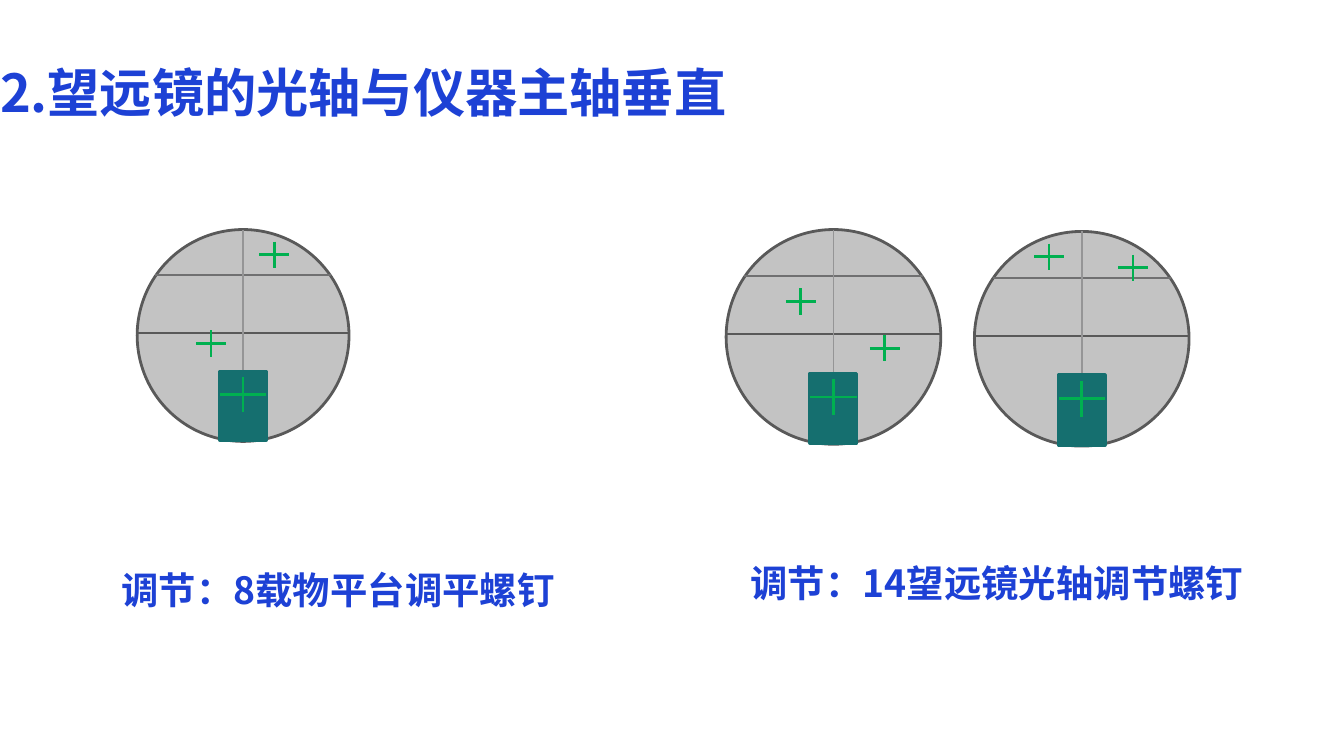
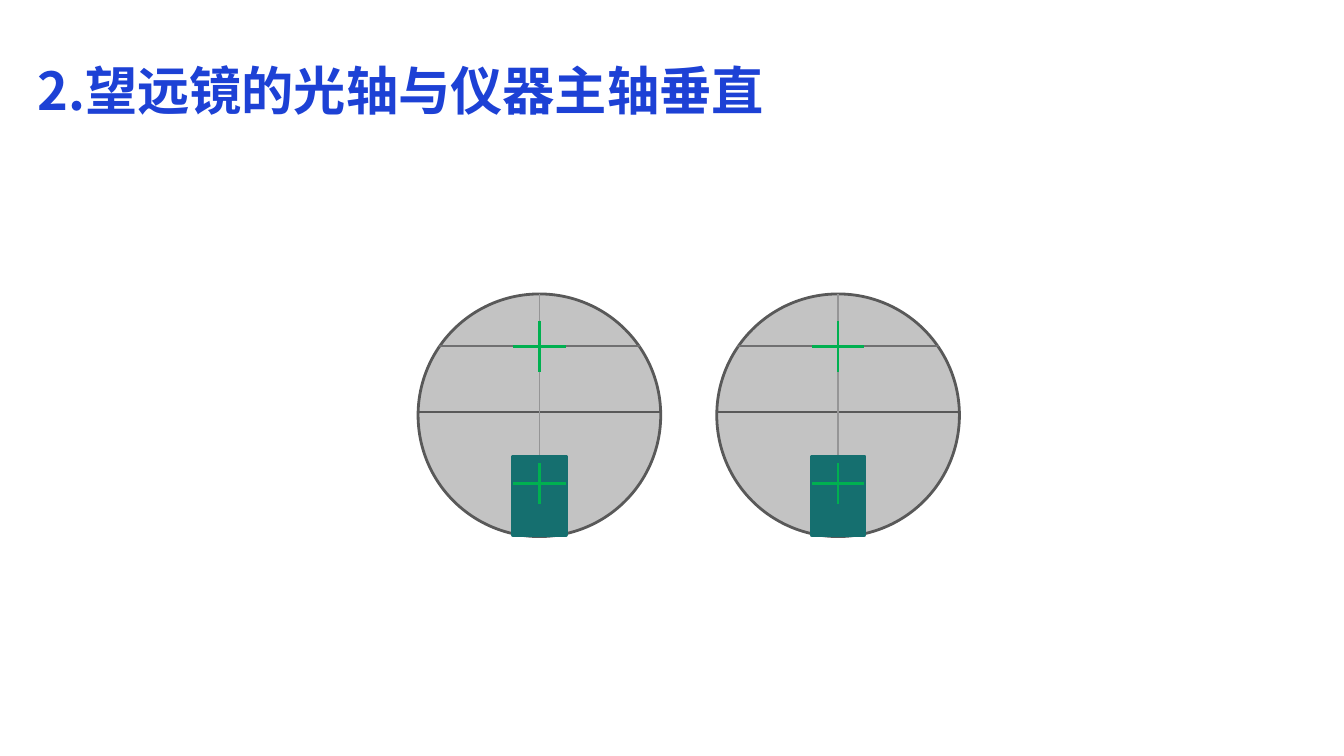
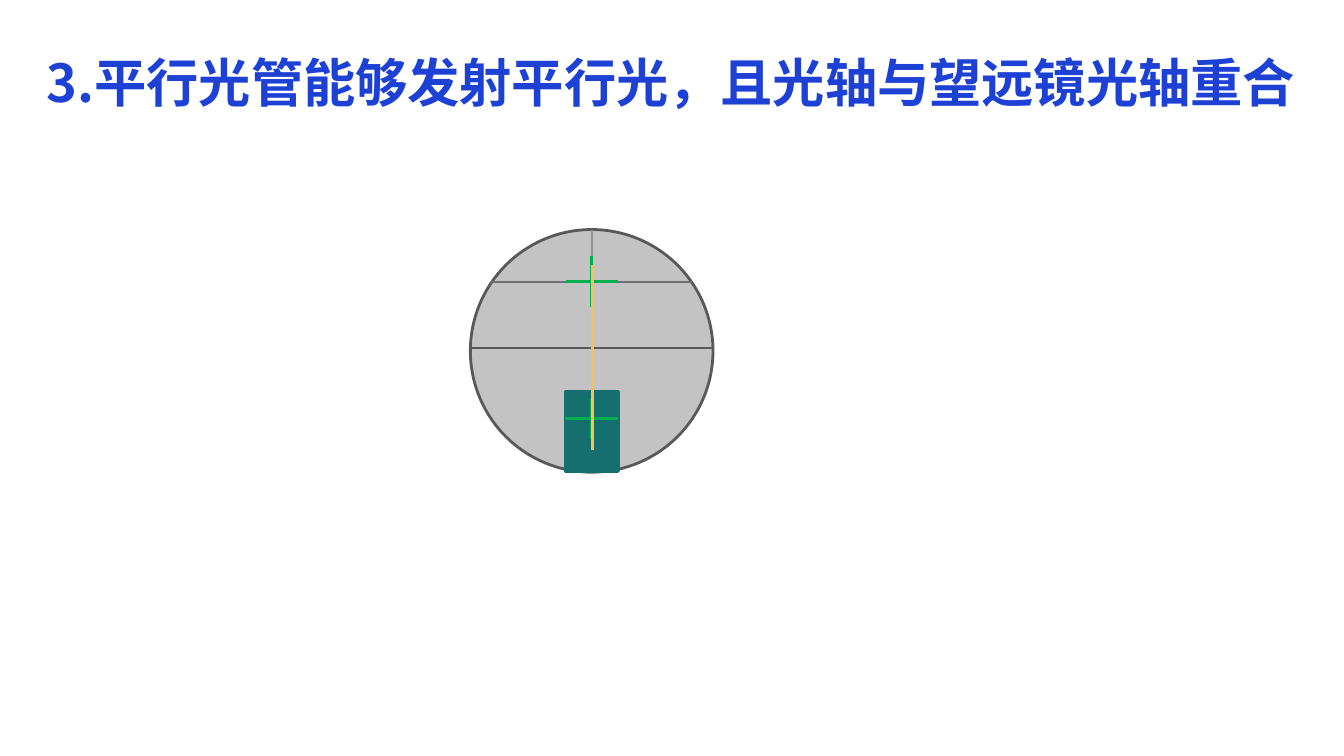
from lxml.etree import SubElement
from pptx import Presentation
from pptx.dml.color import RGBColor
from pptx.enum.shapes import MSO_CONNECTOR, MSO_SHAPE
from pptx.enum.text import MSO_ANCHOR, MSO_AUTO_SIZE, PP_ALIGN
from pptx.oxml.ns import qn
from pptx.util import Pt

BLUE = RGBColor(0x1D, 0x41, 0xD5)
FIELD_GRAY = RGBColor(0xC3, 0xC3, 0xC3)
RIM_GRAY = RGBColor(0x59, 0x59, 0x59)
UPPER_GRAY = RGBColor(0x70, 0x70, 0x71)
VERTICAL_GRAY = RGBColor(0x95, 0x95, 0x96)
TEAL = RGBColor(0x15, 0x6F, 0x6F)
GREEN = RGBColor(0x00, 0xB0, 0x50)
YELLOW = RGBColor(0xFA, 0xC1, 0x4D)

FONT = "Noto Sans CJK SC"
FRAME_FORMAT = {
    "margin_left": 0, "margin_right": 0, "margin_top": 0, "margin_bottom": 0,
    "word_wrap": True, "auto_size": MSO_AUTO_SIZE.NONE,
}

UPPER_LINE = 0.215
MIDDLE_LINE = 0.487
UPPER_HALF = 0.415
WINDOW_TOP = 0.67
WINDOW_WIDTH = 0.216
WINDOW_HEIGHT = 0.325
WINDOW_CROSS = 0.78
WINDOW_CROSS_HEIGHT = 0.167
SMALL_CROSS = (16, 14)
LARGE_CROSS = (28, 27.4)


def apply_format(target, values):
    for attribute, value in values.items():
        setattr(target, attribute, value)


def write_text(holder, wording, size, anchor):
    frame = holder.text_frame
    apply_format(frame, {**FRAME_FORMAT, "vertical_anchor": anchor})
    paragraph = frame.paragraphs[0]
    paragraph.alignment = PP_ALIGN.LEFT
    run = paragraph.add_run()
    run.text = wording
    apply_format(run.font, {"name": FONT, "size": Pt(size), "bold": True})
    run.font.color.rgb = BLUE
    SubElement(run.font._element, qn("a:ea")).set("typeface", FONT)
    return paragraph


def add_titled_slide(deck, wording, left, top, width, height):
    slide = deck.slides.add_slide(deck.slide_layouts[5])
    title = slide.shapes.title
    apply_format(title, {"left": Pt(left), "top": Pt(top),
                         "width": Pt(width), "height": Pt(height)})
    write_text(title, wording, 28, MSO_ANCHOR.MIDDLE)
    return slide


def add_caption(slide, wording, left, top, width):
    caption = slide.shapes.add_textbox(Pt(left), Pt(top), Pt(width), Pt(48))
    paragraph = write_text(caption, wording, 20, MSO_ANCHOR.TOP)
    paragraph.line_spacing = Pt(24)


def add_line(shapes, start, end, color, weight):
    line = shapes.add_connector(MSO_CONNECTOR.STRAIGHT, *map(Pt, start + end))
    line.line.color.rgb = color
    line.line.width = Pt(weight)
    SubElement(line._element.spPr, qn("a:effectLst"))


def add_filled(shapes, preset, bounds, fill, rim, weight):
    area = shapes.add_shape(preset, *map(Pt, bounds))
    area.shadow.inherit = False
    area.fill.solid()
    area.fill.fore_color.rgb = fill
    area.line.color.rgb = rim
    area.line.width = Pt(weight)


def add_cross(shapes, x, y, size):
    half_width, half_height = size[0] / 2, size[1] / 2
    add_line(shapes, (x - half_width, y), (x + half_width, y), GREEN, 1.5)
    add_line(shapes, (x, y - half_height), (x, y + half_height), GREEN, 1.5)


def add_eyepiece(shapes, left, top, diameter):
    center = left + diameter / 2
    middle = top + MIDDLE_LINE * diameter
    upper = top + UPPER_LINE * diameter
    reach = UPPER_HALF * diameter
    window_width = WINDOW_WIDTH * diameter
    add_filled(shapes, MSO_SHAPE.OVAL, (left, top, diameter, diameter),
               FIELD_GRAY, RIM_GRAY, 1.5)
    add_line(shapes, (left, middle), (left + diameter, middle), RIM_GRAY, 1)
    add_line(shapes, (center - reach, upper), (center + reach, upper), UPPER_GRAY, 1)
    add_line(shapes, (center, top), (center, top + diameter), VERTICAL_GRAY, 1)
    add_filled(shapes, MSO_SHAPE.RECTANGLE,
               (center - window_width / 2, top + WINDOW_TOP * diameter,
                window_width, WINDOW_HEIGHT * diameter), TEAL, TEAL, 2)
    add_cross(shapes, center, top + WINDOW_CROSS * diameter,
              (window_width, WINDOW_CROSS_HEIGHT * diameter))


def add_misaligned_eyepiece(shapes, left, top, diameter, reflections):
    add_eyepiece(shapes, left, top, diameter)
    for x, y in reflections:
        add_cross(shapes, x, y, SMALL_CROSS)


def add_aligned_eyepiece(shapes, left, top, diameter=130):
    add_eyepiece(shapes, left, top, diameter)
    add_cross(shapes, left + diameter / 2, top + UPPER_LINE * diameter, LARGE_CROSS)


def build_adjustment(deck):
    slide = add_titled_slide(deck, "2.望远镜的光轴与仪器主轴垂直", 0, 0, 718, 98)
    add_caption(slide, "调节：8载物平台调平螺钉", 65, 304, 238)
    add_caption(slide, "调节：14望远镜光轴调节螺钉", 402, 300, 315)
    platform = slide.shapes.add_group_shape().shapes
    add_misaligned_eyepiece(platform, 73.5, 123, 113.5, [(113, 184), (147, 136.5)])
    telescope = slide.shapes.add_group_shape().shapes
    add_misaligned_eyepiece(telescope, 389, 123, 115, [(429, 161.5), (474, 186.5)])
    add_misaligned_eyepiece(telescope, 522, 124, 115, [(562, 137.5), (607, 143.5)])


def build_perpendicular(deck):
    slide = add_titled_slide(deck, "2.望远镜的光轴与仪器主轴垂直", 20, -1, 698, 98)
    for left in (224, 384):
        add_aligned_eyepiece(slide.shapes.add_group_shape().shapes, left, 157.5)


def build_collimator(deck):
    slide = add_titled_slide(
        deck, "3.平行光管能够发射平行光，且光轴与望远镜光轴重合", 25, 26.5, 688, 34)
    view = slide.shapes.add_group_shape().shapes
    add_aligned_eyepiece(view, 252, 123)
    add_line(view, (317.5, 142), (317.5, 241), YELLOW, 1.75)


def main():
    deck = Presentation()
    apply_format(deck, {"slide_width": Pt(720), "slide_height": Pt(405)})
    build_adjustment(deck)
    build_perpendicular(deck)
    build_collimator(deck)
    deck.save("out.pptx")


if __name__ == "__main__":
    main()
